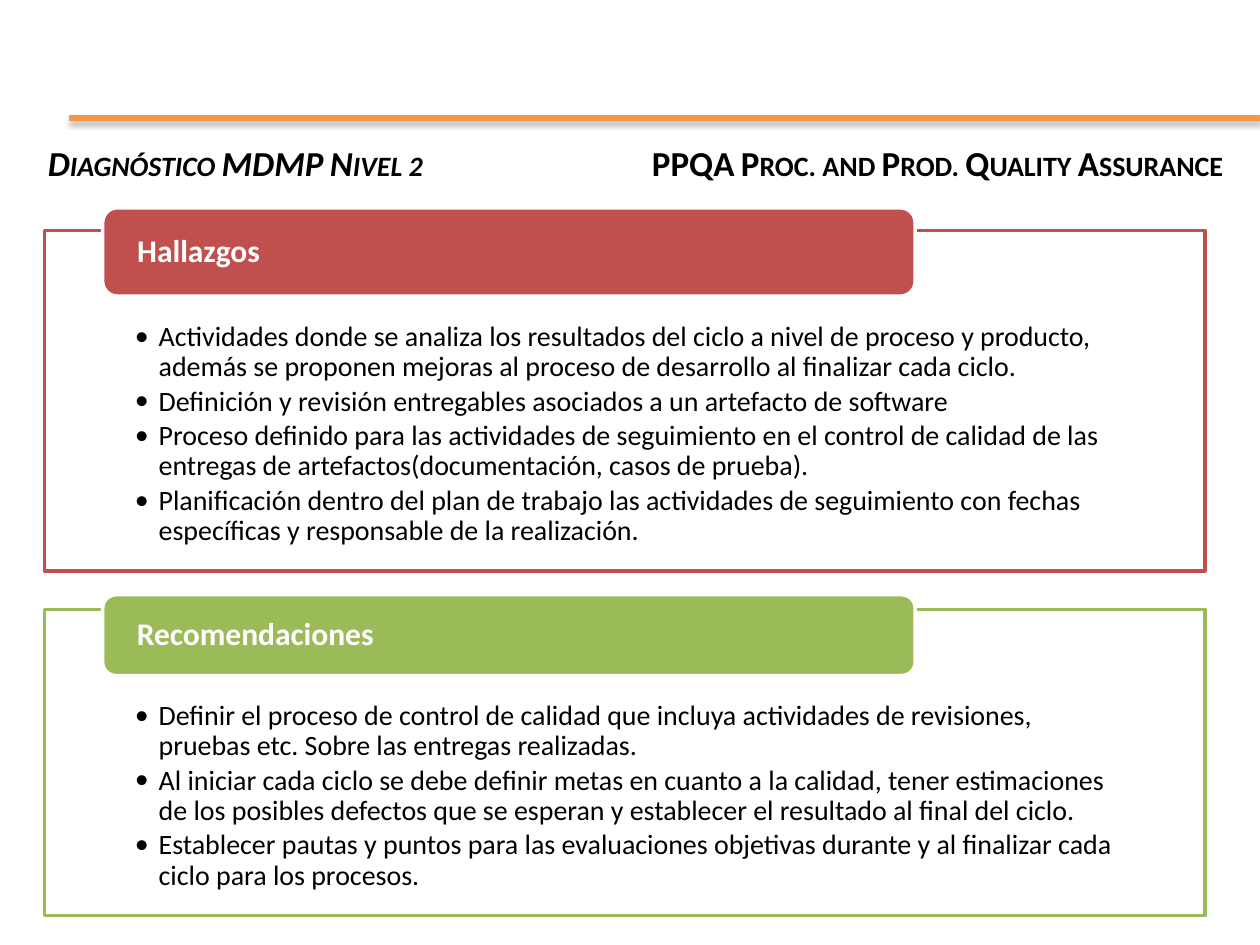
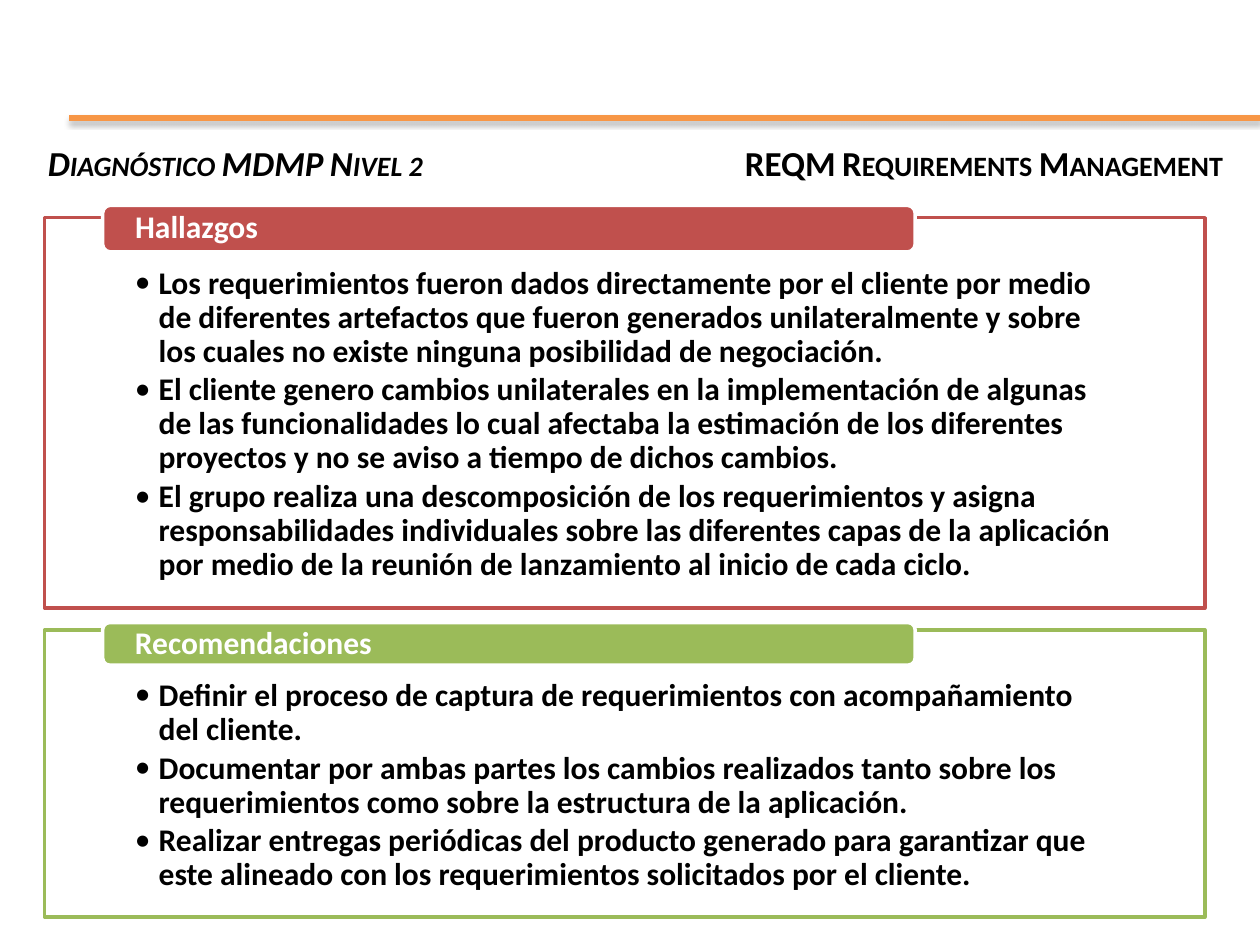
from lxml import etree
from pptx import Presentation
from pptx.dml.color import RGBColor
from pptx.enum.shapes import MSO_CONNECTOR, MSO_SHAPE
from pptx.enum.text import MSO_ANCHOR, MSO_AUTO_SIZE, PP_ALIGN
from pptx.oxml import parse_xml
from pptx.oxml.ns import nsdecls, qn
from pptx.util import Cm, Pt

FONT = "Calibri"
BLACK, WHITE, ORANGE = "000000", "FFFFFF", "F79646"
PANELS = [("Hallazgos", "C0504D"), ("Recomendaciones", "9BBB59")]

# Per slide: area name, text style, frame padding and the two panels.
# Each panel: frame top and height, tab top and height (cm), bullets.
SLIDES = [
    {
        "area": "PPQA Proc. and Prod. Quality Assurance",
        "size": 16, "bold": False, "pad_top": 1.85, "pad_bottom": 0.3,
        "panels": [
            (4.65, 6.86, 4.19, 1.78, [
                "Actividades donde se analiza los resultados del ciclo a nivel de proceso y producto, "
                "además se proponen mejoras al proceso de desarrollo al finalizar cada ciclo.",
                "Definición y revisión entregables asociados a un artefacto de software",
                "Proceso definido para las actividades de seguimiento en el control de calidad de las "
                "entregas de artefactos(documentación, casos de prueba).",
                "Planificación dentro del plan de trabajo las actividades de seguimiento con fechas "
                "específicas y responsable de la realización.",
            ]),
            (12.29, 6.17, 11.99, 1.63, [
                "Definir el proceso de control de calidad que incluya actividades de revisiones, "
                "pruebas etc. Sobre las entregas realizadas.",
                "Al iniciar cada ciclo se debe definir metas en cuanto a la calidad, tener estimaciones "
                "de los posibles defectos que se esperan y establecer el resultado al final del ciclo.",
                "Establecer pautas y puntos para las evaluaciones objetivas durante y al finalizar cada "
                "ciclo para los procesos.",
            ]),
        ],
    },
    {
        "area": "REQM Requirements Management",
        "size": 18, "bold": True, "pad_top": 0.99, "pad_bottom": 0.36,
        "panels": [
            (4.39, 7.87, 4.14, 0.94, [
                "Los requerimientos fueron dados directamente por el cliente por medio de diferentes "
                "artefactos que fueron generados unilateralmente y sobre los cuales no existe ninguna "
                "posibilidad de negociación.",
                "El cliente genero cambios unilaterales en la implementación de algunas de las "
                "funcionalidades lo cual afectaba la estimación de los diferentes proyectos y no se "
                "aviso a tiempo de dichos cambios.",
                "El grupo realiza una descomposición de los requerimientos y asigna responsabilidades "
                "individuales sobre las diferentes capas de la aplicación por medio de la reunión de "
                "lanzamiento al inicio de cada ciclo.",
            ]),
            (12.7, 5.79, 12.55, 0.86, [
                "Definir el proceso de captura de requerimientos con acompañamiento del cliente.",
                "Documentar por ambas partes los cambios realizados tanto sobre los requerimientos "
                "como sobre la estructura de la aplicación.",
                "Realizar entregas periódicas del producto generado para garantizar que este alineado "
                "con los requerimientos solicitados por el cliente.",
            ]),
        ],
    },
]


def rgb(color):
    return RGBColor.from_string(color)


def style(p, size, color, bold, align=PP_ALIGN.LEFT):
    p.alignment = align
    for r in p.runs:
        r.font.name, r.font.size, r.font.bold = FONT, Pt(size), bold
        r.font.color.rgb = rgb(color)


prs = Presentation()
prs.slide_width, prs.slide_height = Cm(25.4), Cm(19.05)

for data in SLIDES:
    s = prs.slides.add_slide(prs.slide_layouts[5])

    # Orange rule with a soft shadow
    rule = s.shapes.add_connector(MSO_CONNECTOR.STRAIGHT, Cm(1.4), Cm(2.38), prs.slide_width, Cm(2.38))
    rule.line.color.rgb = rgb(ORANGE)
    rule.line.width = Pt(3)
    rule._element.spPr.append(parse_xml(
        f'<a:effectLst {nsdecls("a")}><a:outerShdw blurRad="{Pt(3.1)}" dist="{Pt(1.8)}" '
        f'dir="5400000" rotWithShape="0"><a:srgbClr val="{BLACK}"><a:alpha val="35000"/>'
        '</a:srgbClr></a:outerShdw></a:effectLst>'))

    # Two-column title: diagnosis on the left, process area on the right
    title = s.shapes.title
    title.left, title.top, title.width, title.height = Cm(0.71), Cm(2.72), Cm(24.2), Cm(1.19)
    tf = title.text_frame
    tf.text = "Diagnóstico MDMP Nivel 2\n" + data["area"]
    tf.word_wrap, tf.auto_size, tf.vertical_anchor = True, MSO_AUTO_SIZE.NONE, MSO_ANCHOR.TOP
    tf._txBody.bodyPr.set("numCol", "2")
    for p, align, italic in zip(tf.paragraphs, (PP_ALIGN.LEFT, PP_ALIGN.RIGHT), (True, False)):
        style(p, 20, BLACK, True, align)
        p.runs[0].font.italic = italic
        p.runs[0]._r.get_or_add_rPr().set("cap", "small")

    for (name, color), (top, height, tab_top, tab_height, bullets) in zip(PANELS, data["panels"]):
        # Frame with its bullets
        frame = s.shapes.add_shape(MSO_SHAPE.RECTANGLE, Cm(0.9), Cm(top), Cm(23.39), Cm(height))
        frame.shadow.inherit = False
        frame.fill.solid()
        frame.fill.fore_color.rgb = rgb(WHITE)
        fill_color = frame._element.spPr.find(qn("a:solidFill"))[0]
        etree.SubElement(fill_color, qn("a:alpha"), val="90000")
        frame.line.color.rgb = rgb(color)
        frame.line.width = Pt(2)
        tf = frame.text_frame
        tf.text = "\n".join(bullets)
        tf.word_wrap, tf.vertical_anchor = True, MSO_ANCHOR.TOP
        tf.margin_left = tf.margin_right = Cm(1.82)
        tf.margin_top, tf.margin_bottom = Cm(data["pad_top"]), Cm(data["pad_bottom"])
        for p in tf.paragraphs:
            style(p, data["size"], BLACK, data["bold"])
            p.level, p.line_spacing, p.space_after = 1, 0.9, Pt(0.15 * data["size"])
            pPr = p._p.get_or_add_pPr()
            pPr.set("marL", str(Cm(0.48)))
            pPr.set("indent", str(-Cm(0.48)))
            etree.SubElement(pPr, qn("a:buFont"), typeface=FONT)
            etree.SubElement(pPr, qn("a:buChar"), char="•")

        # Heading tab over the frame's top edge
        tab = s.shapes.add_shape(MSO_SHAPE.ROUNDED_RECTANGLE, Cm(2.07), Cm(tab_top), Cm(16.38), Cm(tab_height))
        tab.shadow.inherit = False
        tab.fill.solid()
        tab.fill.fore_color.rgb = rgb(color)
        tab.line.color.rgb = rgb(WHITE)
        tab.line.width = Pt(2)
        tf = tab.text_frame
        tf.text = name
        tf.word_wrap, tf.vertical_anchor = True, MSO_ANCHOR.MIDDLE
        tf.margin_left = tf.margin_right = Cm(0.61)
        tf.margin_top = tf.margin_bottom = 0
        style(tf.paragraphs[0], 18, WHITE, True)
        tf.paragraphs[0].line_spacing = 0.9

prs.save("out.pptx")
